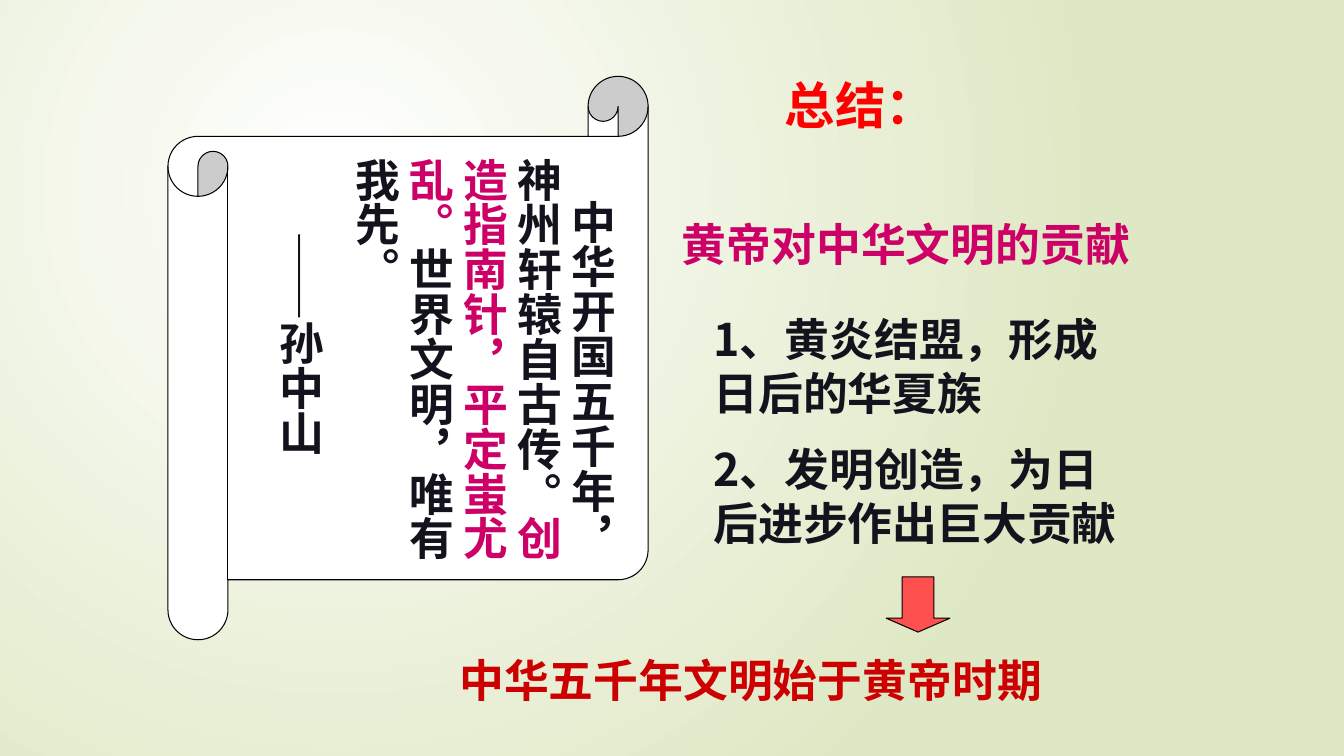
from lxml.etree import SubElement
from pptx import Presentation
from pptx.dml.color import RGBColor
from pptx.enum.shapes import MSO_SHAPE
from pptx.enum.text import MSO_ANCHOR, PP_ALIGN
from pptx.oxml.ns import qn
from pptx.util import Pt

CJK_FONT = "Noto Sans CJK SC"
LATIN_FONT = "Arial"
INK, MAGENTA, RED, DARK_RED = "13131D", "CC0066", "FF0000", "CC0000"


def color(value):
    return RGBColor.from_string(value)


def paint_background(page):
    """Radial gradient, brightest in the upper left quarter."""
    fill = page.background.fill
    fill.gradient()
    for stop, value in zip(fill.gradient_stops, ("FFFFFF", "DFE8C4")):
        stop.color.rgb = color(value)
    linear = page.element.xpath(".//p:bg//a:lin")[0]
    gradient = linear.getparent()
    gradient.remove(linear)
    circle = SubElement(gradient, qn("a:path"), {"path": "circle"})
    SubElement(circle, qn("a:fillToRect"),
               {"l": "50000", "t": "50000", "r": "100000", "b": "100000"})


def add_shape(page, kind, box, fill, adjustments):
    shape = page.shapes.add_shape(kind, *map(Pt, box))
    shape.shadow.inherit = False
    shape.fill.solid()
    shape.fill.fore_color.rgb = color(fill)
    shape.line.color.rgb = color("000000")
    shape.line.width = Pt(0.75)
    for index, value in enumerate(adjustments):
        shape.adjustments[index] = value
    return shape


def format_span(span, ink, font=CJK_FONT, size=32):
    span.font.size = Pt(size)
    span.font.bold = True
    span.font.name = font
    span.font.color.rgb = color(ink)
    SubElement(span.font._element, qn("a:ea"), {"typeface": CJK_FONT})


def add_text(page, box, paragraphs):
    """Each paragraph is a list of (text, ink, font) spans."""
    frame = page.shapes.add_textbox(*map(Pt, box)).text_frame
    frame.word_wrap = True
    for index, spans in enumerate(paragraphs):
        para = frame.add_paragraph() if index else frame.paragraphs[0]
        para.space_before = Pt(16)
        for text, ink, font in spans:
            span = para.add_run()
            span.text = text
            format_span(span, ink, font)
    return frame


def add_scroll(page, box):
    """Scroll with the vertical verse and its author."""
    left, top, width, height = box
    add_shape(page, MSO_SHAPE.HORIZONTAL_SCROLL, box, "FFFFFF", [0.125])
    verse = [("中华开国五千年，神州轩辕自古传。", INK, CJK_FONT),
             ("创造指南针，平定蚩尤乱。", MAGENTA, CJK_FONT),
             ("世界文明，唯有我先。", INK, CJK_FONT)]
    author = [("——", INK, LATIN_FONT), ("孙中山", INK, CJK_FONT)]
    frame = add_text(page, (left + 59, top + 51, width - 76.5, height - 96.5),
                     [verse, author])
    frame._txBody.bodyPr.set("vert", "eaVert")
    for para, indent in zip(frame.paragraphs, (30, 53)):
        properties = para._p.get_or_add_pPr()
        properties.set("marL", "0")
        properties.set("indent", str(Pt(indent)))


def add_title(page, box):
    title = page.shapes.title
    title.left, title.top, title.width, title.height = map(Pt, box)
    frame = title.text_frame
    frame.text = "总结："
    frame.word_wrap = False
    frame.vertical_anchor = MSO_ANCHOR.TOP
    para = frame.paragraphs[0]
    para.alignment = PP_ALIGN.LEFT
    format_span(para.runs[0], RED, size=36)


def add_summary(page, box):
    """Heading above the two contributions."""
    left, top, width, height = box
    add_text(page, (left, top, width, 45),
             [[("黄帝对中华文明的贡献", MAGENTA, LATIN_FONT)]])
    contributions = ("1、黄炎结盟，形成日后的华夏族",
                     "2、发明创造，为日后进步作出巨大贡献")
    add_text(page, (left + 22.5, top + 68, width - 28.5, height - 68),
             [[(text, INK, CJK_FONT)] for text in contributions])


def add_conclusion(page, box):
    """Down arrow leading to the closing statement."""
    left, top, width, height = box
    add_shape(page, MSO_SHAPE.DOWN_ARROW, (left + 312, top, 45.5, 39.5),
              "FF5050", [0.5, 0.25])
    add_text(page, (left, top + 51, width, height - 51),
             [[("中华五千年文明始于黄帝时期", DARK_RED, LATIN_FONT)]])


def main():
    deck = Presentation()
    deck.slide_width, deck.slide_height = Pt(960), Pt(540)
    page = deck.slides.add_slide(deck.slide_layouts[5])
    paint_background(page)
    add_scroll(page, (120, 54.5, 343, 402.5))
    add_title(page, (553.5, 49, 119, 79))
    add_summary(page, (480, 151, 340.5, 248))
    add_conclusion(page, (321, 412, 499, 96))
    deck.save("out.pptx")


if __name__ == "__main__":
    main()
